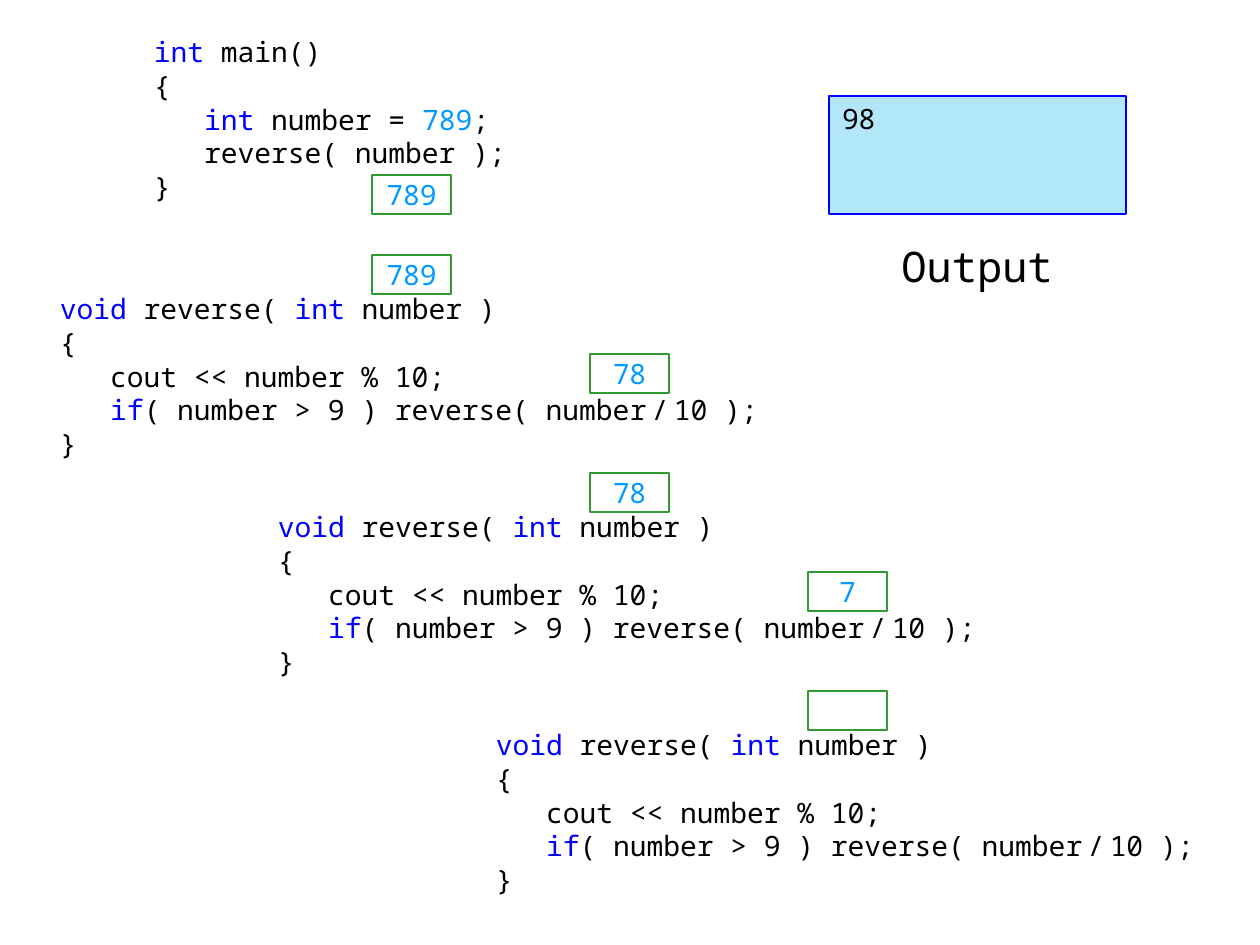
from pptx import Presentation
from pptx import util as u
from pptx.dml.color import RGBColor
from pptx.enum import shapes, text
from lxml import etree

FONT = "Noto Sans Mono"
BLACK, BLUE, SKY, GREEN, CYAN = "000000", "0000FF", "0099FF", "339933", "00B0F0"
SPACED = "spaced"

# Code as lines of (text, style) runs
MAIN_CODE = [
    [("int", BLUE), (" main()", BLACK)],
    [("{", BLACK)],
    [("   ", BLACK), ("int", BLUE), (" number = ", BLACK), ("789", SKY), (";", BLACK)],
    [("   reverse( number );", BLACK)],
    [("}", BLACK)],
]
REVERSE_CODE = [
    [("void", BLUE), (" reverse( ", BLACK), ("int", BLUE), (" number )", BLACK)],
    [("{", BLACK)],
    [("   cout << number % 10;", BLACK)],
    [("   ", BLACK), ("if", BLUE), ("( number > 9 ) reverse( numbe", BLACK),
     ("r/", SPACED), ("10 );", BLACK)],
    [("}", BLACK)],
]
# Each call: value received, value passed on (None: no box, "": empty box)
CALLS = [("789", "78"), ("78", "7"), ("", None)]

# Layout in px
CALL_LEFT, CALL_TOP, CALL_STEP = 35, 274, 218
BOX_SIZE = (79, 39)
MAIN_INSETS = (20, 0, 13, 13)
CALL_INSETS = (25, 18, 5, 13)
BOX_INSETS = (13, 0, 13, 0)
PLAIN_INSETS = (13, 6, 13, 6)


def px(value):
    return u.Emu(value * 914400 // 126)


def color(value):
    return RGBColor.from_string(value)


def write(shape, lines, insets, size=16, align=text.PP_ALIGN.LEFT,
          anchor=text.MSO_ANCHOR.TOP, wrap=True):
    frame = shape.text_frame
    left, top, right, bottom = map(px, insets)
    settings = dict(margin_left=left, margin_top=top, margin_right=right,
                    margin_bottom=bottom, word_wrap=wrap, vertical_anchor=anchor)
    for name, value in settings.items():
        setattr(frame, name, value)
    for index, line in enumerate(lines):
        paragraph = frame.add_paragraph() if index else frame.paragraphs[0]
        paragraph.alignment = align
        for words, style in line:
            run = paragraph.add_run()
            run.text = words
            run.font.name, run.font.size = FONT, u.Pt(size)
            run.font.color.rgb = color(BLACK if style == SPACED else style)
            if style == SPACED:
                run.font._element.set("spc", "300")


def add_text(slide, bounds, lines, insets, **options):
    write(slide.shapes.add_textbox(*map(px, bounds)), lines, insets, **options)


def add_box(slide, bounds, line_color):
    shape = slide.shapes.add_shape(shapes.MSO_SHAPE.RECTANGLE, *map(px, bounds))
    shape.shadow.inherit = False
    shape.fill.background()
    shape.line.color.rgb = color(line_color)
    shape.line.width = u.Pt(1.5)
    return shape


def add_value(slide, left, top, value):
    shape = add_box(slide, (left, top, *BOX_SIZE), GREEN)
    if value:
        write(shape, [[(value, SKY)]], BOX_INSETS, align=text.PP_ALIGN.CENTER,
              anchor=text.MSO_ANCHOR.MIDDLE, wrap=False)


def main():
    presentation = Presentation()
    presentation.slide_width, presentation.slide_height = u.Inches(10), u.Inches(7.5)
    slide = presentation.slides.add_slide(presentation.slide_layouts[6])

    # Main program and its argument
    add_text(slide, (134, 35, 397, 179), MAIN_CODE, MAIN_INSETS)
    add_value(slide, 372, 175, "789")

    # Cascade of recursive calls
    for index, (received, passed) in enumerate(CALLS):
        left = CALL_LEFT + index * CALL_STEP
        top = CALL_TOP + index * CALL_STEP
        add_text(slide, (left, top, 755, 179), REVERSE_CODE, CALL_INSETS)
        add_value(slide, left + 337, top - 19, received)
        if passed is not None:
            add_value(slide, left + 555, top + 80, passed)

    # Output screen, translucent fill
    screen = add_box(slide, (829, 96, 297, 118), BLUE)
    screen.fill.solid()
    screen.fill.fore_color.rgb = color(CYAN)
    fill = screen._element.spPr.find("{*}solidFill")
    etree.SubElement(fill[0], fill.tag.replace("solidFill", "alpha"), val="30000")
    write(screen, [[("98", BLACK)]], PLAIN_INSETS)
    add_text(slide, (868, 234, 218, 59), [[("Output", BLACK)]], PLAIN_INSETS,
             size=24, align=text.PP_ALIGN.CENTER)

    presentation.save("out.pptx")


if __name__ == "__main__":
    main()
